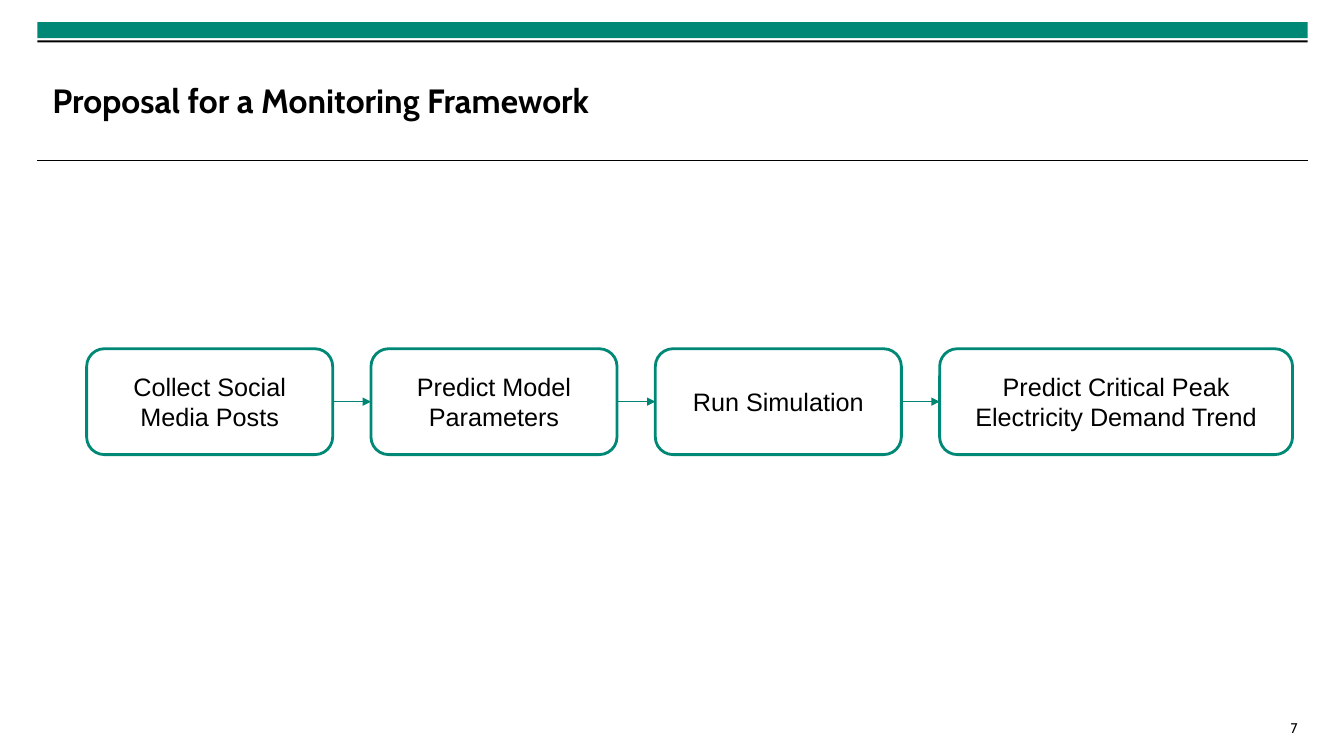
from itertools import pairwise

from lxml import etree
from pptx import Presentation
from pptx.dml.color import RGBColor
from pptx.enum.shapes import MSO_CONNECTOR, MSO_SHAPE
from pptx.enum.text import MSO_ANCHOR, PP_ALIGN
from pptx.oxml.ns import qn
from pptx.util import Inches, Pt

RECTANGLE = MSO_SHAPE.RECTANGLE
ROUNDED = MSO_SHAPE.ROUNDED_RECTANGLE
STRAIGHT = MSO_CONNECTOR.STRAIGHT
MIDDLE = MSO_ANCHOR.MIDDLE
LEFT, CENTER, RIGHT = PP_ALIGN.LEFT, PP_ALIGN.CENTER, PP_ALIGN.RIGHT
RIGHT_SIDE, LEFT_SIDE = 3, 1

COLORS = {"teal": "008877", "arrow": "008574", "black": "000000", "white": "FFFFFF"}
MARGIN, CONTENT_WIDTH = 0.37, 12.6
STEP_LEFT, STEP_TOP, STEP_HEIGHT, STEP_GAP = 0.86, 3.46, 1.05, 0.38
STEPS = [
    ("Collect Social Media Posts", 2.44),
    ("Predict Model Parameters", 2.44),
    ("Run Simulation", 2.44),
    ("Predict Critical Peak Electricity Demand Trend", 3.5),
]
ARROW_WIDTHS = [0.75, 1, 1]


def color(name):
    """Return the named colour."""
    return RGBColor.from_string(COLORS[name])


def write_text(shape, text, font, size, alignment, bold=False):
    """Write one vertically centred paragraph into a shape."""
    frame = shape.text_frame
    frame.word_wrap = True
    frame.vertical_anchor = MIDDLE
    paragraph = frame.paragraphs[0]
    paragraph.alignment = alignment
    run = paragraph.add_run()
    run.text = text
    run.font.name = font
    run.font.size = Pt(size)
    run.font.bold = bold
    run.font.color.rgb = color("black")


def add_text(slide, box, text, size, alignment, bold=False):
    """Add a text box without inner margins."""
    shape = slide.shapes.add_textbox(*map(Inches, box))
    frame = shape.text_frame
    frame.margin_left = frame.margin_right = 0
    frame.margin_top = frame.margin_bottom = 0
    write_text(shape, text, "Cabin", size, alignment, bold)


def add_box(slide, kind, box, fill, line=None):
    """Add a filled shape with an optional outline."""
    shape = slide.shapes.add_shape(kind, *map(Inches, box))
    shape.shadow.inherit = False
    shape.fill.solid()
    shape.fill.fore_color.rgb = color(fill)
    if line:
        shape.line.color.rgb = color(line)
        shape.line.width = Pt(2)
    else:
        shape.line.fill.background()
    return shape


def add_line(slide, start, end, line, width):
    """Add a straight line without a shadow."""
    connector = slide.shapes.add_connector(STRAIGHT, *map(Inches, start + end))
    connector.line.color.rgb = color(line)
    connector.line.width = Pt(width)
    etree.SubElement(connector._element.spPr, qn("a:effectLst"))
    return connector


def add_arrow(slide, source, target, width):
    """Join two steps with an arrow."""
    connector = add_line(slide, (0, 0), (0, 0), "arrow", width)
    connector.begin_connect(source, RIGHT_SIDE)
    connector.end_connect(target, LEFT_SIDE)
    line = connector.line._get_or_add_ln()
    etree.SubElement(line, qn("a:tailEnd"), type="triangle")


def add_frame(slide):
    """Add the header bars, title and page number."""
    add_box(slide, RECTANGLE, (MARGIN, 0.22, CONTENT_WIDTH, 0.16), "teal")
    add_box(slide, RECTANGLE, (MARGIN, 0.4, CONTENT_WIDTH, 0.02), "black")
    add_line(slide, (MARGIN, 1.59), (MARGIN + CONTENT_WIDTH, 1.59), "black", 0.6)
    title = "Proposal for a Monitoring Framework"
    add_text(slide, (0.52, 0.53, 10.4, 0.92), title, 24, LEFT, bold=True)
    add_text(slide, (2.47, 7.1, 10.4, 0.25), "7", 10, RIGHT)


def add_process(slide):
    """Add the row of steps and the arrows between them."""
    steps = []
    left = STEP_LEFT
    for text, width in STEPS:
        box = (left, STEP_TOP, width, STEP_HEIGHT)
        step = add_box(slide, ROUNDED, box, "white", "teal")
        write_text(step, text, "Arial", 18, CENTER)
        steps.append(step)
        left += width + STEP_GAP
    for (source, target), width in zip(pairwise(steps), ARROW_WIDTHS):
        add_arrow(slide, source, target, width)


def main():
    """Build and save the slide."""
    presentation = Presentation()
    presentation.slide_width = Inches(13.33)
    presentation.slide_height = Inches(7.5)
    slide = presentation.slides.add_slide(presentation.slide_layouts[6])
    add_frame(slide)
    add_process(slide)
    presentation.save("out.pptx")


if __name__ == "__main__":
    main()
